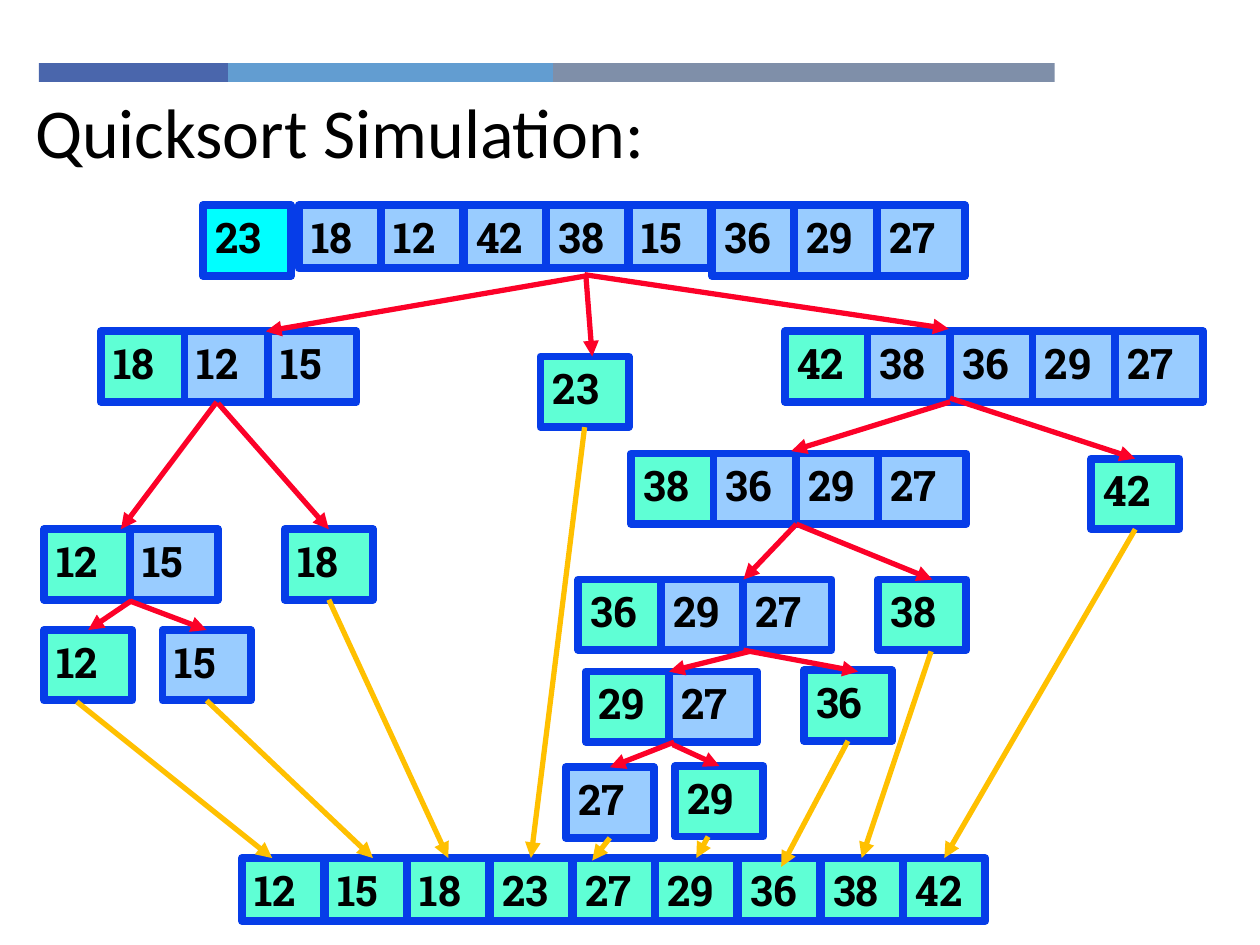
"""Build the Quicksort Simulation slide."""
from lxml import etree
from pptx import Presentation
from pptx.dml.color import RGBColor
from pptx.enum.shapes import MSO_CONNECTOR as CONN, MSO_SHAPE as SHAPE
from pptx.enum.text import MSO_ANCHOR as ANCHOR, PP_ALIGN as ALIGN
from pptx.oxml.ns import qn
from pptx.util import Inches, Pt

COLORS = {
    "black": "000000", "border": "063DE8", "cyan": "00FFFF",
    "blue": "99CCFF", "green": "5FFFD5", "red": "FC0128", "gold": "FFC000",
    "bar1": "4A66AC", "bar2": "629DD1", "bar3": "7F8FA9",
}


def add_box(x, y, w, h, fill, line=None):
    sp = s.shapes.add_shape(SHAPE.RECTANGLE, Inches(x), Inches(y), Inches(w), Inches(h))
    sp.shadow.inherit = False
    sp.fill.solid()
    sp.fill.fore_color.rgb = RGBColor.from_string(COLORS[fill])
    if line:
        sp.line.color.rgb = RGBColor.from_string(COLORS[line])
        sp.line.width = Pt(4.5)
    else:
        sp.line.fill.background()
    return sp


def write(tf, text, size, font, bold):
    tf.word_wrap = True
    tf.vertical_anchor = ANCHOR.TOP
    p = tf.paragraphs[0]
    p.alignment = ALIGN.LEFT
    r = p.add_run()
    r.text = text
    r.font.size = Pt(size)
    r.font.name = font
    r.font.bold = bold
    r.font.color.rgb = RGBColor.from_string(COLORS["black"])


prs = Presentation()
prs.slide_width, prs.slide_height = Inches(10), Inches(7.5)
s = prs.slides.add_slide(prs.slide_layouts[6])

for x, w, fill in [(0.31, 1.5, "bar1"), (1.81, 2.58, "bar2"), (4.39, 3.98, "bar3")]:
    add_box(x, 0.5, w, 0.15, fill)

title = s.shapes.add_textbox(Inches(0.18), Inches(0.65), Inches(9.38), Inches(0.66))
write(title.text_frame, "Quicksort Simulation:", 40, "Calibri", False)

LARGE, SMALL = (0.7, 0.56), (0.65, 0.5)
arrays = [
    (1.61, 1.61, 1.63, LARGE, "cyan", "blue", [23]),
    (2.37, 4.99, 1.63, SMALL, "blue", "blue", [18, 12, 42, 38, 15]),
    (5.65, 6.96, 1.63, LARGE, "blue", "blue", [36, 29, 27]),
    (0.8, 2.13, 2.63, LARGE, "green", "blue", [18, 12, 15]),
    (4.29, 4.29, 2.83, LARGE, "green", "blue", [23]),
    (6.23, 8.85, 2.63, LARGE, "green", "blue", [42, 38, 36, 29, 27]),
    (0.35, 1.03, 4.2, LARGE, "green", "blue", [12, 15]),
    (2.26, 2.26, 4.2, LARGE, "green", "blue", [18]),
    (5.01, 6.97, 3.6, LARGE, "green", "blue", [38, 36, 29, 27]),
    (8.66, 8.66, 3.64, LARGE, "green", "blue", [42]),
    (4.59, 5.9, 4.6, LARGE, "green", "blue", [36, 29, 27]),
    (6.97, 6.97, 4.6, LARGE, "green", "blue", [38]),
    (6.38, 6.38, 5.32, LARGE, "green", "blue", [36]),
    (4.65, 5.31, 5.33, LARGE, "green", "blue", [29, 27]),
    (5.36, 5.36, 6.08, LARGE, "green", "blue", [29]),
    (4.49, 4.49, 6.09, LARGE, "blue", "blue", [27]),
    (0.35, 0.35, 5, LARGE, "green", "blue", [12]),
    (1.29, 1.29, 5, LARGE, "blue", "blue", [15]),
    (1.92, 7.17, 6.81, SMALL, "green", "green", [12, 15, 18, 23, 27, 29, 36, 38, 42]),
]
sides = []
for first, last, y, (w, h), pivot, rest, values in arrays:
    step = (last - first) / max(len(values) - 1, 1)
    for i, value in enumerate(values):
        x = first + i * step
        sp = add_box(x, y, w, h, rest if i else pivot, "border")
        write(sp.text_frame, str(value), 24, "Roboto Slab", True)
        sides += [(x + w / 2, y, sp, 0), (x + w / 2, y + h, sp, 2)]

arrows = {
    "red": [
        (2.11, 2.63, 4.65, 2.19), (4.7, 2.83, 4.65, 2.19), (7.53, 2.61, 4.64, 2.18),
        (0.96, 4.2, 1.72, 3.19), (2.63, 4.2, 1.73, 3.2), (6.28, 3.58, 7.54, 3.19),
        (9.01, 3.63, 7.54, 3.16), (5.9, 4.6, 6.32, 4.16), (7.4, 4.6, 6.32, 4.16),
        (5.31, 5.33, 5.95, 5.17), (6.81, 5.33, 5.9, 5.16), (0.68, 5, 1.04, 4.77),
        (1.65, 4.99, 1.03, 4.77), (4.82, 6.08, 5.35, 5.89), (5.71, 6.11, 5.34, 5.91),
    ],
    "gold": [
        (2.16, 6.81, 0.61, 5.57), (2.96, 6.81, 1.65, 5.58), (3.57, 6.81, 2.59, 4.77),
        (4.22, 6.81, 4.64, 3.4), (4.7, 6.83, 4.81, 6.63), (5.53, 6.83, 5.62, 6.64),
        (6.2, 6.88, 6.73, 5.91), (6.86, 6.81, 7.39, 5.17), (7.53, 6.83, 9.01, 4.21),
    ],
}
for color, lines in arrows.items():
    for x1, y1, x2, y2 in lines:
        cx = s.shapes.add_connector(CONN.STRAIGHT, Inches(x1), Inches(y1), Inches(x2), Inches(y2))
        cx.line.color.rgb = RGBColor.from_string(COLORS[color])
        cx.line.width = Pt(3)
        etree.SubElement(cx.line._get_or_add_ln(), qn("a:headEnd"), type="triangle")
        etree.SubElement(cx._element.spPr, qn("a:effectLst"))
        for x, y, join in [(x1, y1, cx.begin_connect), (x2, y2, cx.end_connect)]:
            for side_x, side_y, sp, site in sides:
                if abs(x - side_x) < 0.04 and abs(y - side_y) < 0.04:
                    join(sp, site)

prs.save("out.pptx")
